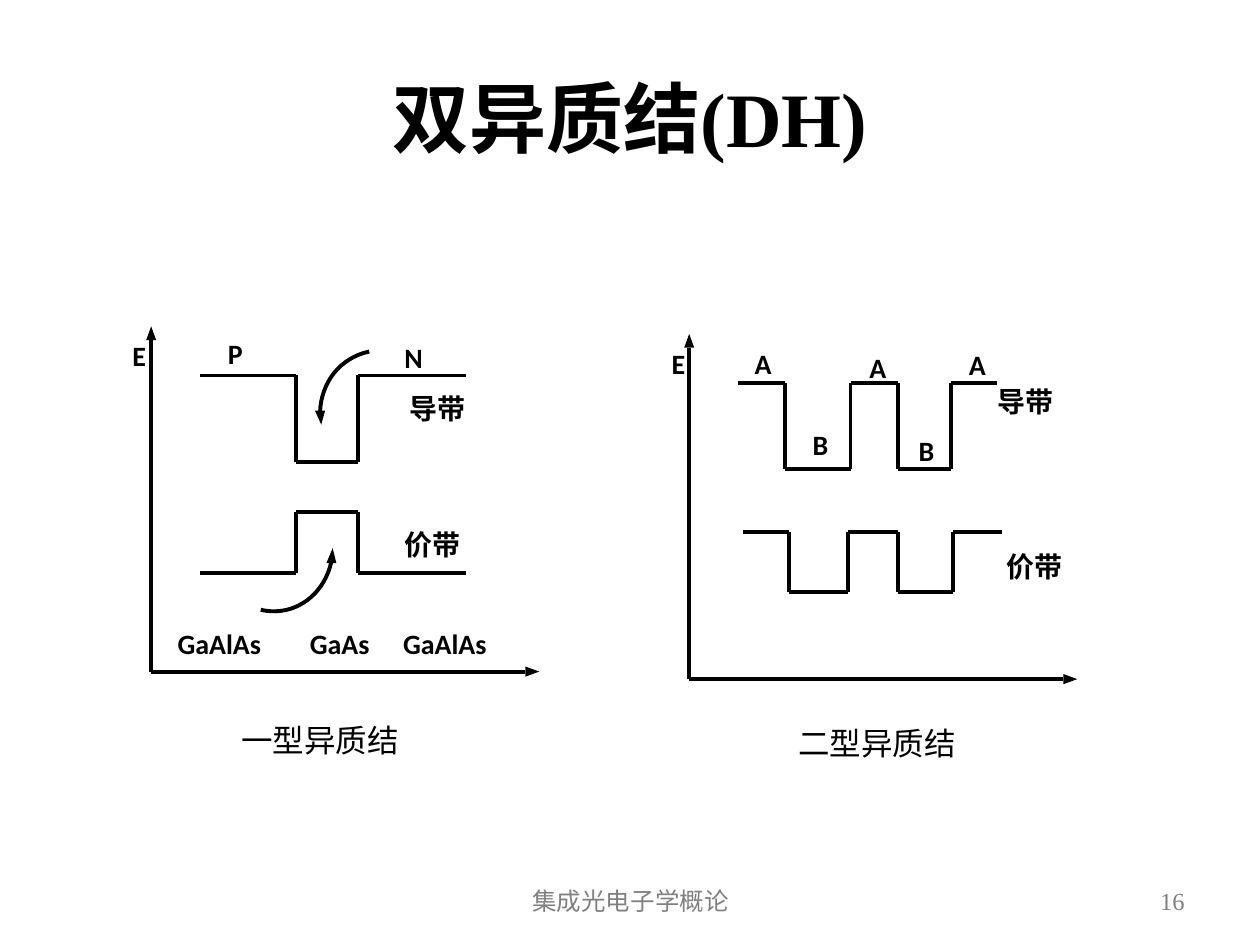
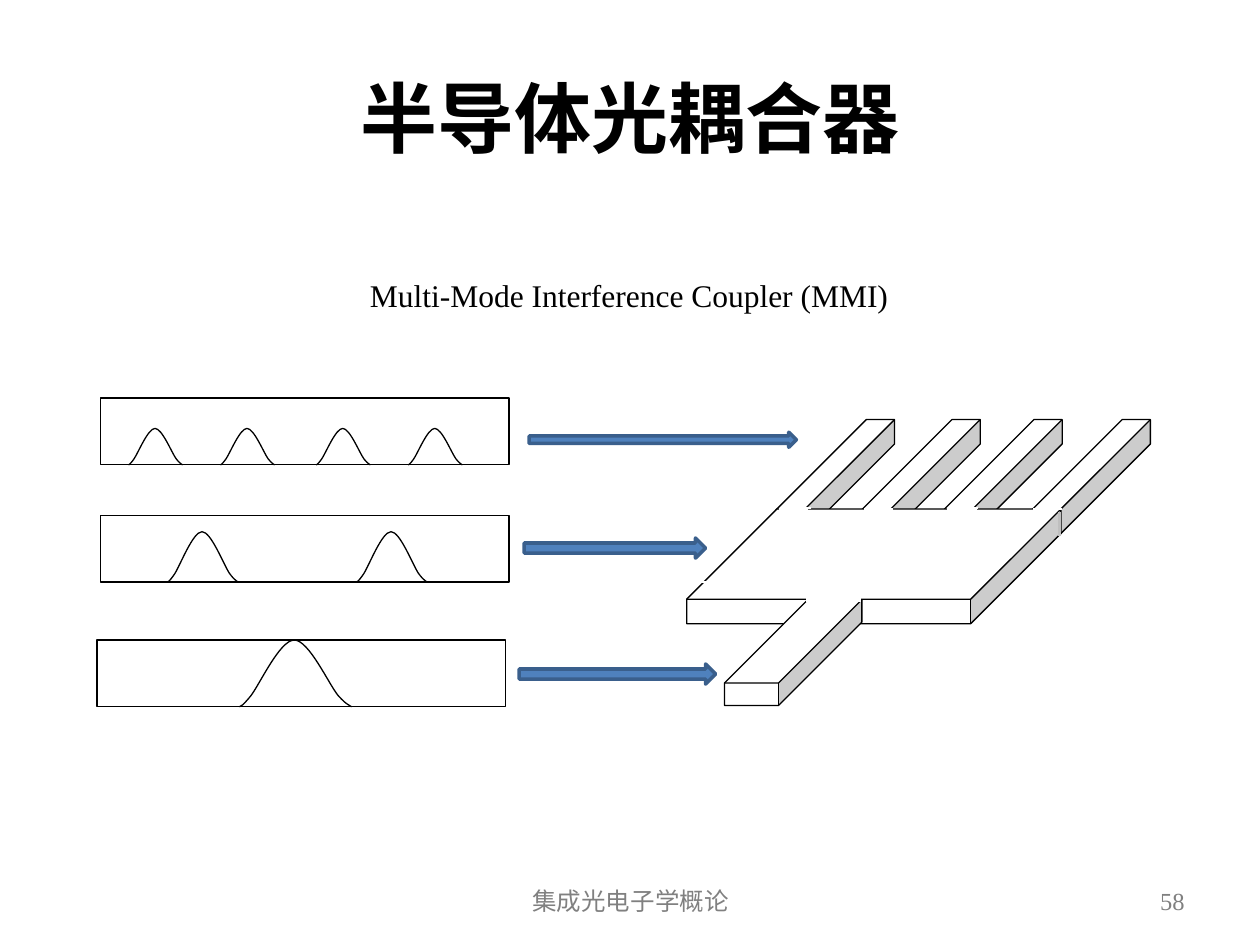
"""Build two slides on double heterojunctions and semiconductor optical couplers."""
from dataclasses import dataclass

import lxml.etree
import pptx
import pptx.dml.color
import pptx.enum.shapes
import pptx.enum.text
import pptx.oxml.ns
import pptx.util

Inches = pptx.util.Inches
qn = pptx.oxml.ns.qn
Align = pptx.enum.text.PP_ALIGN
Anchor = pptx.enum.text.MSO_ANCHOR
Preset = pptx.enum.shapes.MSO_SHAPE
Point = tuple[float, float]

BLACK, WHITE, GRAY, SHADE = "000000", "FFFFFF", "808080", "BFBFBF"
ARROW_FILL, ARROW_EDGE = "4F81BD", "3A5F8C"
SERIF, SANS = "Times New Roman", "Calibri"
THICK, THIN = 2.25, 0.75
FOOTER = "集成光电子学概论"


@dataclass(frozen=True)
class TextStyle:
    font: str
    size: float
    color: str = BLACK
    bold: bool = False
    align: Align = Align.CENTER


TITLE = TextStyle(SERIF, 44, bold=True)
LABEL = TextStyle(SANS, 16, bold=True, align=Align.LEFT)
CAPTION = TextStyle(SANS, 18)
SUBTITLE = TextStyle(SERIF, 18)
FOOTER_TEXT = TextStyle(SANS, 14, GRAY)
PAGE_NUMBER = TextStyle(SERIF, 14, GRAY, align=Align.RIGHT)


@dataclass(frozen=True)
class Area:
    left: float
    top: float
    width: float
    height: float

    def lengths(self) -> list:
        return [Inches(n) for n in (self.left, self.top, self.width, self.height)]


@dataclass(frozen=True)
class Label:
    text: str
    left: float
    top: float
    width: float


@dataclass(frozen=True)
class Band:
    edges: tuple[float, ...]
    levels: tuple[float, float]

    def points(self) -> list[Point]:
        """Alternate between the two levels from edge to edge."""
        return [(x, self.levels[step % 2])
                for step, ends in enumerate(zip(self.edges, self.edges[1:]))
                for x in ends]


@dataclass(frozen=True)
class BandDiagram:
    origin: Point
    bands: tuple[Band, ...]
    labels: tuple[Label, ...]
    caption: Label


@dataclass(frozen=True)
class CarrierRoute:
    controls: tuple[Point, ...]
    steps: int
    head: tuple[Point, ...]


@dataclass(frozen=True)
class ModeProfile:
    frame: Area
    bell_lefts: tuple[float, ...]
    bell_width: float
    bell_height: float
    arrow: Area


@dataclass(frozen=True)
class Cover:
    start: Point
    end: Point
    width: float = 1.25
    color: str = WHITE


AXIS_UP, AXIS_RIGHT, HEAD_LENGTH, HEAD_HALF = 2.74, 3.08, 0.11, 0.04
TYPE_ONE_EDGES = (1.59, 2.35, 2.84, 3.7)
DIAGRAMS = (
    BandDiagram(
        (5.47, 5.39),
        (Band((5.86, 6.23, 6.75, 7.13, 7.55, 7.91), (3.04, 3.72)),
         Band((5.9, 6.26, 6.73, 7.13, 7.56, 7.95), (4.22, 4.7))),
        (Label("导带", 7.92, 3.05, 0.45), Label("价带", 7.99, 4.36, 0.45),
         Label("E", 5.33, 2.75, 0.15), Label("A", 5.99, 2.75, 0.24),
         Label("A", 6.9, 2.78, 0.24), Label("A", 7.69, 2.76, 0.24),
         Label("B", 6.45, 3.39, 0.24), Label("B", 7.29, 3.44, 0.24)),
        Label("二型异质结", 5.91, 5.7, 2.1)),
    BandDiagram(
        (1.2, 5.33),
        (Band(TYPE_ONE_EDGES, (2.98, 3.67)), Band(TYPE_ONE_EDGES, (4.55, 4.06))),
        (Label("P", 1.81, 2.67, 0.14), Label("N", 3.21, 2.7, 0.16),
         Label("GaAs", 2.46, 4.97, 0.53), Label("GaAlAs", 1.41, 4.97, 0.75),
         Label("GaAlAs", 3.2, 4.97, 0.75), Label("导带", 3.25, 3.11, 0.45),
         Label("价带", 3.21, 4.19, 0.45), Label("E", 1.05, 2.69, 0.15)),
        Label("一型异质结", 1.49, 5.67, 2.1)),
)
CARRIER_ROUTES = (
    CarrierRoute(((2.93, 2.79), (2.7, 2.84), (2.55, 3.03), (2.54, 3.27)), 16,
                 ((2.58, 3.26), (2.55, 3.37), (2.5, 3.26))),
    CarrierRoute(((2.07, 4.84), (2.33, 4.9), (2.57, 4.73), (2.63, 4.46)), 19,
                 ((2.59, 4.47), (2.64, 4.35), (2.67, 4.47))),
)

BELL = ((0, 0), (0.02, 0.02), (0.02, 0), (0.1, 0.16),
        (0.18, 0.33), (0.36, 1), (0.49, 1),
        (0.62, 1), (0.8, 0.33), (0.88, 0.17),
        (0.97, 0), (0.98, 0.04), (1, 0))
PROFILES = (
    ModeProfile(Area(0.77, 5.08, 3.24, 0.53), (1.9,),
                0.89, 0.53, Area(4.12, 5.27, 1.56, 0.16)),
    ModeProfile(Area(0.8, 4.09, 3.24, 0.53), (1.33, 2.83),
                0.56, 0.4, Area(4.16, 4.27, 1.44, 0.16)),
    ModeProfile(Area(0.8, 3.16, 3.24, 0.53), (1.02, 1.75, 2.51, 3.24),
                0.43, 0.29, Area(4.2, 3.43, 2.12, 0.12)),
)
GUIDES = (
    *(Area(left, 3.33, 0.94, 0.91) for left in (6.16, 6.84, 7.49, 8.19)),
    Area(5.45, 4.04, 2.97, 0.91),
    Area(5.75, 4.76, 1.09, 0.84),
)
COVERS = (
    Cover((5.24, 4.62), (5.73, 4.62)),
    Cover((6.4, 4.76), (6.83, 4.76), 2),
    *(Cover((right, 4.04), (right - 0.23, 4.04)) for right in (8.43, 6.41, 7.09, 7.75)),
    Cover((8.41, 4.06), (8.41, 4.25), 2, SHADE),
    *(Cover((right, 4.03), (right - 0.23, 4.03)) for right in (6.44, 7.76)),
)


def rgb(color: str) -> pptx.dml.color.RGBColor:
    """Turn a hex string into a colour."""
    return pptx.dml.color.RGBColor.from_string(color)


def write(frame, text: str, style: TextStyle) -> None:
    """Put one styled line of text in a frame."""
    para = frame.paragraphs[0]
    para.alignment = style.align
    span = para.add_run()
    span.text = text
    span.font.name = style.font
    span.font.size = pptx.util.Pt(style.size)
    span.font.bold = style.bold
    span.font.color.rgb = rgb(style.color)


def add_text(page, text: str, area: Area, style: TextStyle, anchor=Anchor.TOP):
    """Add a wrapping text box and return its frame."""
    frame = page.shapes.add_textbox(*area.lengths()).text_frame
    frame.word_wrap = True
    frame.vertical_anchor = anchor
    write(frame, text, style)
    return frame


def add_label(page, label: Label) -> None:
    """Add a tight diagram label."""
    area = Area(label.left, label.top, label.width, 0.27)
    frame = add_text(page, label.text, area, LABEL)
    frame.word_wrap = False
    frame.auto_size = pptx.enum.text.MSO_AUTO_SIZE.SHAPE_TO_FIT_TEXT
    frame.margin_left = frame.margin_right = frame.margin_top = frame.margin_bottom = 0


def paint(shape, fill: str | None, edge: str | None, width: float = THIN) -> None:
    """Set the fill and outline of a shape and drop its shadow."""
    shape.shadow.inherit = False
    for part, color in ((shape.fill, fill), (shape.line.fill, edge)):
        if color is None:
            part.background()
        else:
            part.solid()
            part.fore_color.rgb = rgb(color)
    if edge:
        shape.line.width = pptx.util.Pt(width)


def add_line(page, start: Point, end: Point, color: str = BLACK, width: float = THICK) -> None:
    """Add a straight line without a shadow."""
    line = page.shapes.add_connector(pptx.enum.shapes.MSO_CONNECTOR.STRAIGHT,
                                     *(Inches(n) for n in (*start, *end)))
    line.line.color.rgb = rgb(color)
    line.line.width = pptx.util.Pt(width)
    lxml.etree.SubElement(line._element.spPr, qn("a:effectLst"))


def add_outline(page, points, close: bool = False):
    """Add a freeform through the points."""
    corners = [(Inches(x), Inches(y)) for x, y in points]
    builder = page.shapes.build_freeform(*corners[0])
    builder.add_line_segments(corners[1:], close=close)
    return builder.convert_to_shape()


def add_head(page, points) -> None:
    """Add a solid triangular arrowhead."""
    paint(add_outline(page, points, close=True), BLACK, None)


def add_bell(page, points) -> None:
    """Add a smooth curve whose points are Bezier controls."""
    bell = add_outline(page, points)
    route = bell._element.spPr.find(".//" + qn("a:path"))
    segments = route.findall(qn("a:lnTo"))
    for first in range(0, len(segments), 3):
        curve = lxml.etree.SubElement(route, qn("a:cubicBezTo"))
        for segment in segments[first:first + 3]:
            curve.append(segment[0])
            route.remove(segment)
    paint(bell, None, BLACK)


def arc_point(controls: tuple[Point, ...], t: float) -> Point:
    """Find the point at fraction t of a cubic Bezier curve."""
    weights = ((1 - t) ** 3, 3 * t * (1 - t) ** 2, 3 * t * t * (1 - t), t ** 3)
    return tuple(sum(w * n for w, n in zip(weights, axis)) for axis in zip(*controls))


def add_page(deck, title: str):
    """Add a slide with its title."""
    page = deck.slides.add_slide(deck.slide_layouts[5])
    heading = page.shapes.title
    heading.left, heading.top, heading.width, heading.height = Area(0.5, 0.3, 9, 1.25).lengths()
    heading.text_frame.vertical_anchor = Anchor.MIDDLE
    write(heading.text_frame, title, TITLE)
    return page


def add_footer(page, number: str) -> None:
    """Add the course name and page number."""
    add_text(page, FOOTER, Area(3.42, 6.95, 3.17, 0.4), FOOTER_TEXT, Anchor.MIDDLE)
    add_text(page, number, Area(7.17, 6.95, 2.33, 0.4), PAGE_NUMBER, Anchor.MIDDLE)


def draw_diagram(page, diagram: BandDiagram) -> None:
    """Draw the axes, bands and labels of one junction."""
    x, y = diagram.origin
    top, right = y - AXIS_UP, x + AXIS_RIGHT
    low, near = top + HEAD_LENGTH, right - HEAD_LENGTH
    add_line(page, (x, y), (x, low))
    add_head(page, ((x - HEAD_HALF, low), (x, top), (x + HEAD_HALF, low)))
    add_line(page, (x, y), (near, y))
    add_head(page, ((near, y - HEAD_HALF), (right, y), (near, y + HEAD_HALF)))
    for band in diagram.bands:
        points = band.points()
        for start, end in zip(points, points[1:]):
            add_line(page, start, end)
    for label in diagram.labels:
        add_label(page, label)
    caption = diagram.caption
    add_text(page, caption.text, Area(caption.left, caption.top, caption.width, 0.4), CAPTION)


def main() -> None:
    """Build and save the deck."""
    deck = pptx.Presentation()
    deck.slide_width, deck.slide_height = Inches(10), Inches(7.5)

    junctions = add_page(deck, "双异质结(DH)")
    for diagram in DIAGRAMS:
        draw_diagram(junctions, diagram)
    for route in CARRIER_ROUTES:
        arc = [arc_point(route.controls, n / route.steps) for n in range(route.steps + 1)]
        paint(add_outline(junctions, arc), None, BLACK, THICK)
        add_head(junctions, route.head)
    add_footer(junctions, "16")

    coupler = add_page(deck, "半导体光耦合器")
    for profile in PROFILES:
        frame = profile.frame
        paint(coupler.shapes.add_shape(Preset.RECTANGLE, *frame.lengths()), None, BLACK)
        for left in profile.bell_lefts:
            add_bell(coupler, [(left + x * profile.bell_width,
                                frame.top + frame.height - y * profile.bell_height)
                               for x, y in BELL])
    for guide in GUIDES:
        cube = coupler.shapes.add_shape(Preset.CUBE, *guide.lengths())
        cube.adjustments[0] = 0.787
        paint(cube, WHITE, BLACK)
    for cover in COVERS:
        add_line(coupler, cover.start, cover.end, cover.color, cover.width)
    add_text(coupler, "Multi-Mode Interference Coupler (MMI)",
             Area(2.46, 2.14, 5.07, 0.4), SUBTITLE)
    for profile in PROFILES:
        arrow = coupler.shapes.add_shape(Preset.RIGHT_ARROW, *profile.arrow.lengths())
        paint(arrow, ARROW_FILL, ARROW_EDGE, 2)
    add_footer(coupler, "58")

    deck.save("out.pptx")


if __name__ == "__main__":
    main()
